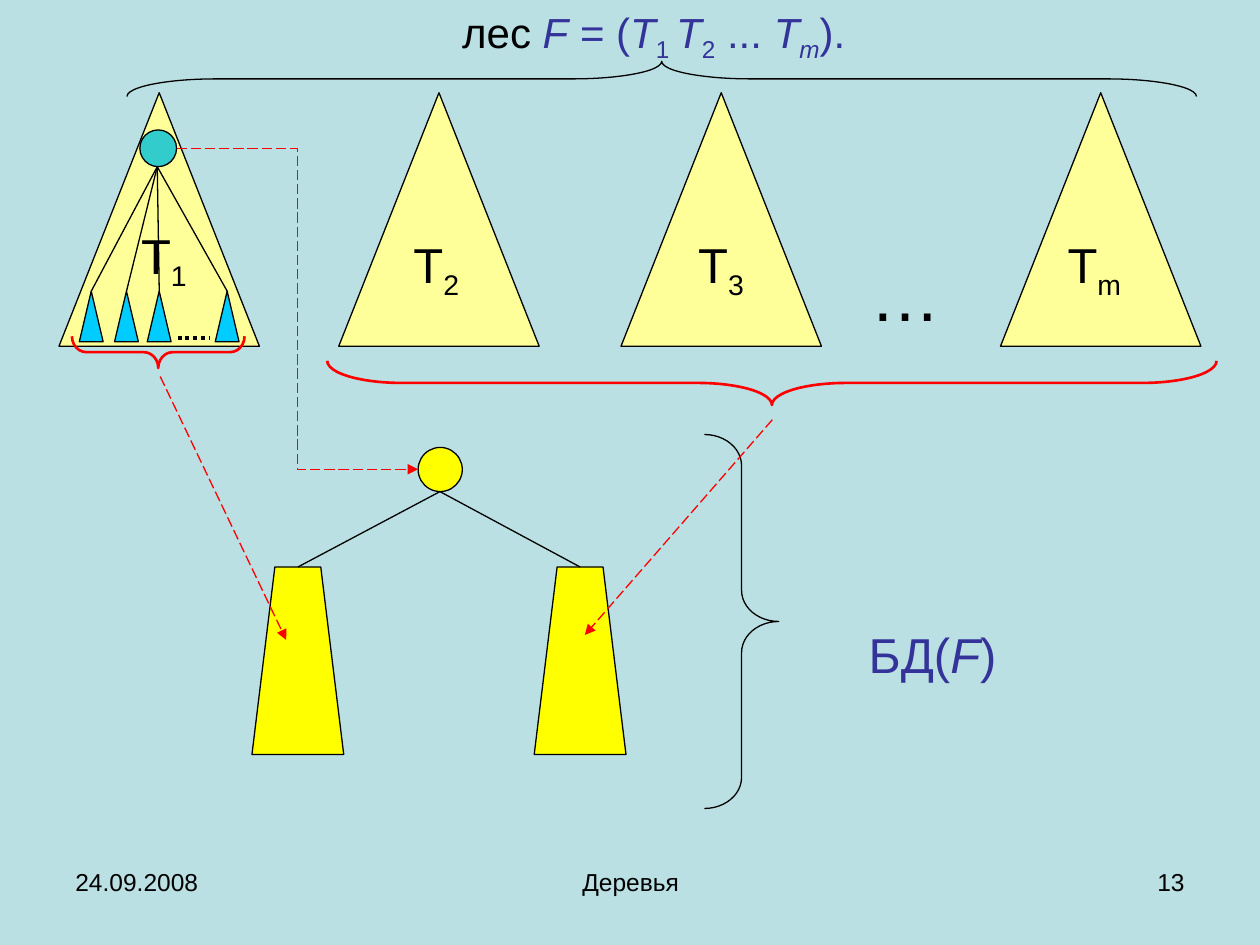
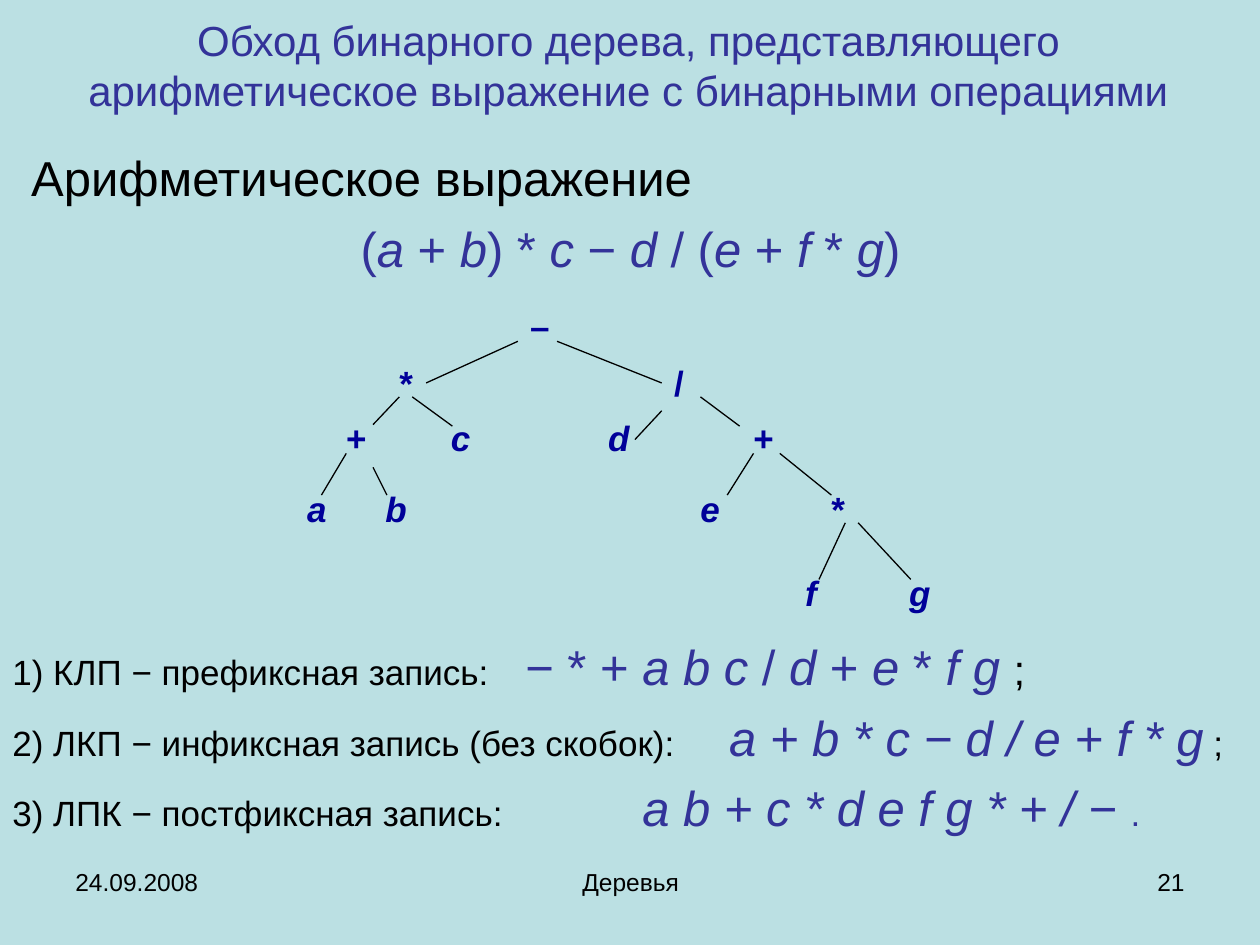
from itertools import groupby

from lxml.etree import SubElement
from pptx import Presentation
from pptx.dml.color import RGBColor
from pptx.enum.dml import MSO_LINE as Dash
from pptx.enum.shapes import MSO_CONNECTOR as Conn, MSO_SHAPE as Form
from pptx.enum.text import MSO_ANCHOR as Anchor, PP_ALIGN as Align
from pptx.oxml.ns import qn
from pptx.util import Cm, Pt

FONT = "Arial"
SKY, NAVY, INK = "BBE0E3", "333399", "000000"
DEEP, RED = "000099", "FF0000"
CREAM, YELLOW, TEAL, CYAN = "FFFF99", "FFFF00", "33CCCC", "00CCFF"
ITALIC = {"italic": True}
SUB = {"sub": True}


def tint(fill, color):
    fill.solid()
    fill.fore_color.rgb = RGBColor.from_string(color)


def write(para, words, size=20, color=INK, bold=False, italic=False, sub=False):
    run = para.add_run()
    run.text = words
    font = run.font
    font.name, font.size = FONT, Pt(size)
    font.bold, font.italic = bold, italic
    tint(font.fill, color)
    if sub:
        font._element.set("baseline", "-25000")


def text(slide, box, paras, align=Align.LEFT, anchor=Anchor.TOP, fill=None,
         tabs=(), gap=0, lead=None, **style):
    shape = slide.shapes.add_textbox(*map(Cm, box))
    if fill:
        tint(shape.fill, fill)
    frame = shape.text_frame
    frame.word_wrap = True
    frame.vertical_anchor = anchor
    if isinstance(paras, str):
        paras = [[(paras, {})]]
    for i, runs in enumerate(paras):
        para = frame.paragraphs[0] if i == 0 else frame.add_paragraph()
        if tabs:
            stops = SubElement(para._p.get_or_add_pPr(), qn("a:tabLst"))
            SubElement(stops, qn("a:tab"), pos=str(Cm(tabs[i])), algn="l")
        para.alignment = align
        if lead:
            para.line_spacing = lead
        if i and gap:
            para.space_before = Pt(gap)
        for words, extra in runs:
            write(para, words, **{**style, **extra})
    return shape


def terms(words, **style):
    return [("".join(part), {**style, "italic": letter})
            for letter, part in groupby(words, str.isalpha)]


def solid(slide, form, box, fill=None, color=INK, width=0.75):
    shape = slide.shapes.add_shape(form, *map(Cm, box))
    shape.shadow.inherit = False
    if fill:
        tint(shape.fill, fill)
    else:
        shape.fill.background()
    tint(shape.line.fill, color)
    shape.line.width = Pt(width)
    return shape


def brace(slide, mid, depth, span, turn=0, **style):
    x, y = mid
    box = (x - depth / 2, y - span / 2, depth, span)
    shape = solid(slide, Form.RIGHT_BRACE, box, **style)
    shape.adjustments[0] = span / depth / 12
    shape.rotation = turn


def line(slide, start, end, color=INK, width=0.75, dash=None, arrow=False,
         kind=Conn.STRAIGHT):
    link = slide.shapes.add_connector(kind, *map(Cm, start + end))
    tint(link.line.fill, color)
    link.line.width = Pt(width)
    if dash:
        link.line.dash_style = dash
    if arrow:
        SubElement(link.line._get_or_add_ln(), qn("a:tailEnd"), type="triangle")
    SubElement(link._element.spPr, qn("a:effectLst"))
    return link


def fan(slide, top, shapes):
    for shape in shapes:
        line(slide, top, top).end_connect(shape, 0)


def start(deck, number):
    slide = deck.slides.add_slide(deck.slide_layouts[6])
    tint(slide.background.fill, SKY)
    for x, width, words, align in (
            (1.27, 5.92, "24.09.2008", Align.LEFT),
            (8.69, 8.05, "Деревья", Align.CENTER),
            (18.21, 5.92, str(number), Align.RIGHT)):
        text(slide, (x, 17.35, width, 1.32), words, align=align, size=14)
    return slide


def forest(deck):
    slide = start(deck, 13)
    for x in (1.19, 6.83, 12.52, 20.17):
        solid(slide, Form.ISOSCELES_TRIANGLE, (x, 1.87, 4.04, 5.11), CREAM)
    text(slide, (16.84, 4.95, 2.84, 1.96), "…", align=Align.CENTER, size=40)
    for x, y, width, mark in ((2.49, 4.42, 1.63, "1"), (7.98, 4.6, 1.63, "2"),
                              (13.72, 4.6, 1.63, "3"), (21.08, 4.6, 1.96, "m")):
        text(slide, (x, y, width, 1.6), [[("Т", {}), (mark, SUB)]],
             align=Align.CENTER, size=28)

    solid(slide, Form.OVAL, (2.82, 2.62, 0.74, 0.74), TEAL)
    twigs = [solid(slide, Form.ISOSCELES_TRIANGLE, (x, 5.87, 0.48, 1.02), CYAN)
             for x in (1.6, 2.31, 2.97, 4.34)]
    line(slide, (3.58, 6.81), (4.24, 6.81), width=2.25, dash=Dash.ROUND_DOT)
    fan(slide, (3.17, 3.36), twigs)

    brace(slide, (3.19, 7.1), 0.64, 3.48, 90, color=RED, width=1.5)
    brace(slide, (15.56, 7.72), 0.89, 17.93, 90, color=RED, width=1.5)
    brace(slide, (13.34, 1.59), 0.71, 21.56, 270)
    brace(slide, (14.95, 12.53), 1.5, 7.54)

    halves = [solid(slide, Form.TRAPEZOID, (x, 11.43, 1.85, 3.78), YELLOW)
              for x in (5.08, 10.77)]
    solid(slide, Form.OVAL, (8.43, 9.02, 0.89, 0.89), YELLOW)
    fan(slide, (8.87, 9.91), halves)
    for begin, end, kind in (
            ((3.56, 3.0), (8.43, 9.46), Conn.ELBOW),
            ((3.23, 7.59), (5.77, 12.9), Conn.STRAIGHT),
            ((15.57, 8.46), (11.79, 12.8), Conn.STRAIGHT)):
        line(slide, begin, end, RED, dash=Dash.LONG_DASH, arrow=True, kind=kind)

    text(slide, (7.06, 0, 12.24, 1.42),
         [[("лес ", {"color": INK}), ("F", ITALIC), (" = (", {}),
           ("Т", ITALIC), ("1 ", SUB), ("Т", ITALIC), ("2", SUB), (" ... ", {}),
           ("Т", ITALIC), ("m", {**ITALIC, **SUB}), (").", {})]],
         align=Align.CENTER, size=24, color=NAVY)
    text(slide, (16.21, 12.47, 5.18, 1.45), [terms("БД(F)")[:0] + [
        ("БД(", {}), ("F", ITALIC), (")", {})]],
        align=Align.CENTER, size=28, color=NAVY)


def walk(deck):
    slide = start(deck, 21)
    text(slide, (1.24, 0, 22.86, 2.62),
         "Обход бинарного дерева, представляющего "
         "арифметическое выражение с бинарными операциями",
         align=Align.CENTER, anchor=Anchor.MIDDLE, size=24, color=NAVY)
    head = text(slide, (0.38, 2.84, 24.66, 3),
                [[("Арифметическое выражение", {})],
                 terms("(a + b) * c − d / (e + f * g)", color=NAVY)],
                align=Align.CENTER, gap=7, size=28)
    head.text_frame.paragraphs[0].alignment = Align.LEFT

    nodes = [text(slide, (x, y, 1.05, 1.12), mark, fill=SKY, size=20,
                  color=DEEP, bold=True, italic=mark.isalpha())
             for y, row in ((6.02, ((10.44, "–"),)),
                            (7.16, ((7.8, "*"), (13.34, "/"))),
                            (8.28, ((6.73, "+"), (8.84, "c"),
                                    (12.01, "d"), (14.94, "+"))),
                            (9.7, ((5.94, "a"), (7.52, "b"),
                                   (13.87, "e"), (16.51, "*"))),
                            (11.4, ((15.98, "f"), (18.08, "g"))))
             for x, mark in row]
    line(slide, (11.23, 6.88), (13.34, 7.72)).end_connect(nodes[2], 1)
    for begin, end in (
            ((10.44, 6.88), (8.59, 7.72)),
            ((8.05, 8), (7.52, 8.56)), ((8.31, 8), (9.12, 8.59)),
            ((6.98, 9.14), (6.48, 9.98)), ((7.52, 9.42), (7.8, 9.98)),
            ((13.34, 8.28), (12.8, 8.86)), ((14.12, 8), (14.91, 8.59)),
            ((15.19, 9.14), (14.66, 9.98)), ((15.72, 9.14), (16.76, 9.98)),
            ((17.04, 10.54), (16.51, 11.68)), ((17.3, 10.54), (18.36, 11.68))):
        line(slide, begin, end)

    big = {"size": 28, "color": NAVY}
    text(slide, (0, 12.47, 25.4, 4.52),
         [[("1) КЛП − префиксная запись:\t", {})]
          + terms("− * + a b c / d + e * f g ", **big) + [(";", {"size": 24})],
          [("2) ЛКП − инфиксная запись (без скобок):\t", {}),
           ("a + b * c − d / e + f * g", {**big, **ITALIC}), (" ;", {})],
          [("3) ЛПК − постфиксная запись:\t", {}),
           ("a b + c * d e f g * + / − ", {**big, **ITALIC}),
           (".", {"color": NAVY})]],
         tabs=(10.34, 14.45, 12.7), lead=1.2)


def main():
    deck = Presentation()
    deck.slide_width, deck.slide_height = Cm(25.4), Cm(19.05)
    forest(deck)
    walk(deck)
    deck.save("out.pptx")


if __name__ == "__main__":
    main()
